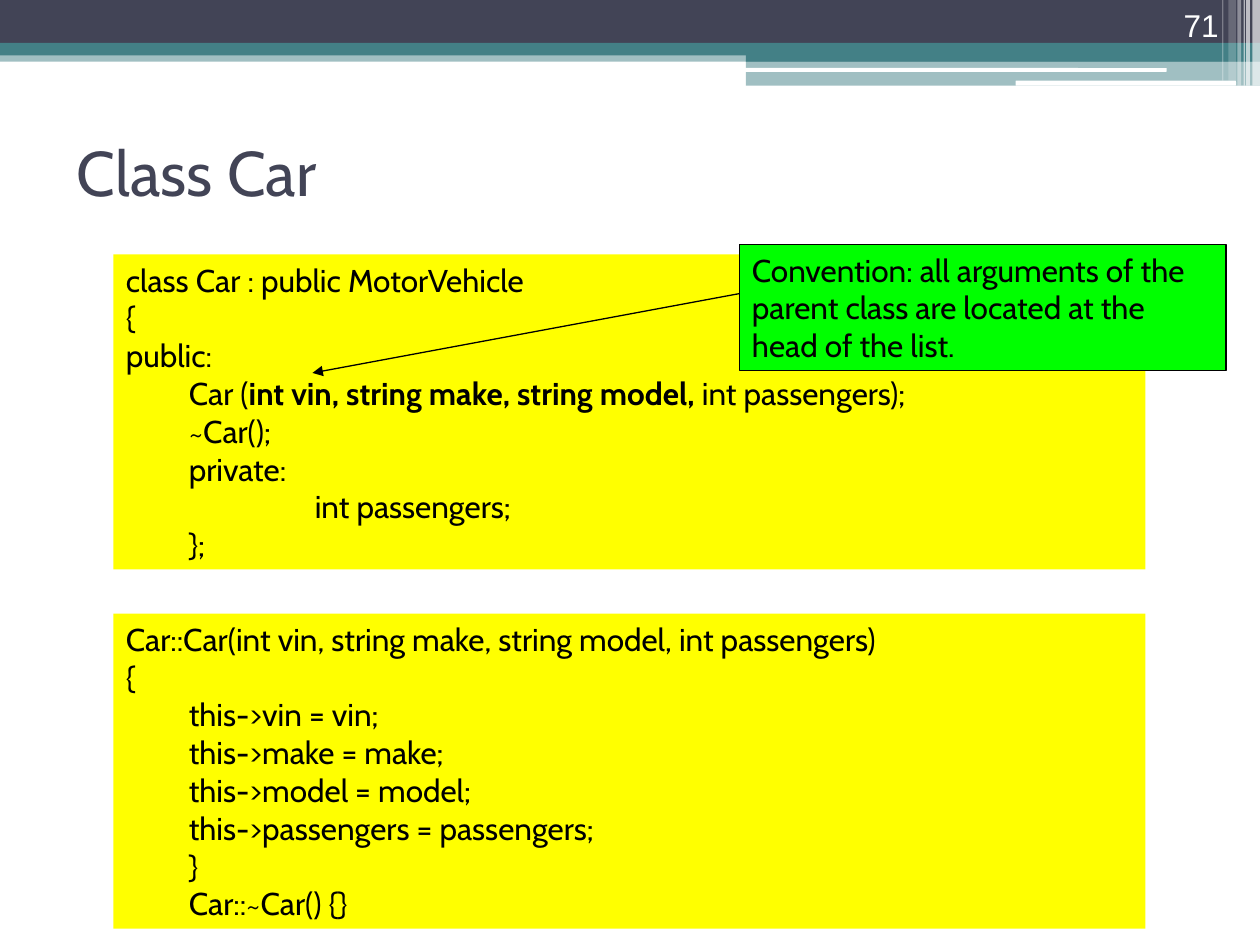
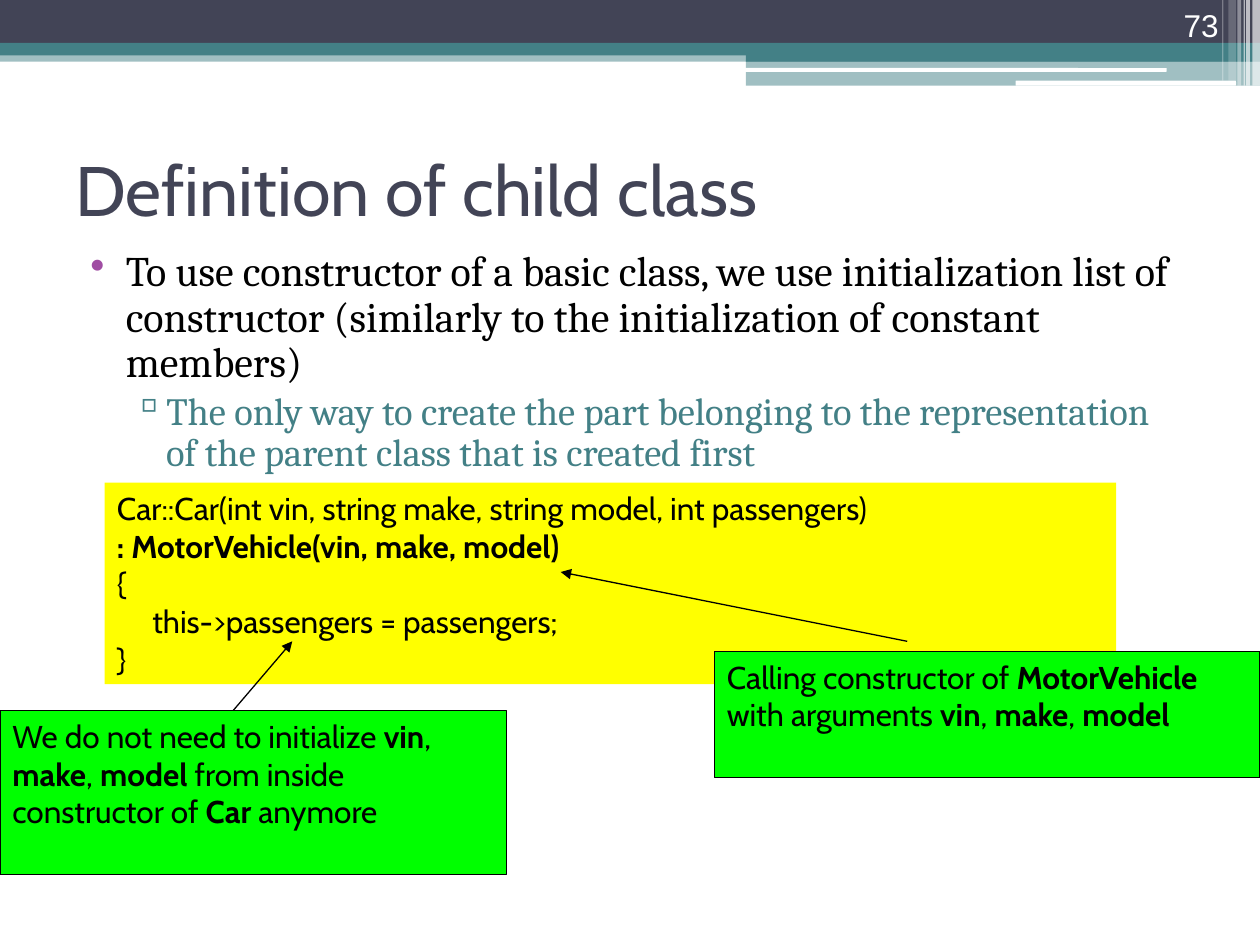
from lxml import etree
from pptx import Presentation
from pptx import util as u
from pptx.dml.color import RGBColor
from pptx.enum import shapes, text
from pptx.oxml.ns import qn

PX = u.Inches(1) // 100
INK = RGBColor(0x42, 0x44, 0x56)
TEAL = RGBColor(0x43, 0x80, 0x86)
PURPLE = RGBColor(0xA0, 0x4D, 0xA3)
WHITE = RGBColor(0xFF, 0xFF, 0xFF)
BLACK = RGBColor(0x00, 0x00, 0x00)
YELLOW = RGBColor(0xFF, 0xFF, 0x00)
GREEN = RGBColor(0x00, 0xFF, 0x00)

RECT = shapes.MSO_SHAPE.RECTANGLE
ROUND = shapes.MSO_SHAPE.ROUNDED_RECTANGLE
BANDS = [
    (RECT, (0, 40, 1000, 9), TEAL, 50),
    (RECT, (0, 0, 1000, 34), INK, 100),
    (RECT, (0, 34, 1000, 10), TEAL, 100),
    (RECT, (592, 39, 408, 10), TEAL, 100),
    (RECT, (592, 48, 408, 20), TEAL, 50),
    (ROUND, (591, 54, 335, 3), WHITE, 100),
    (ROUND, (806, 64, 175, 4), WHITE, 100),
    (RECT, (994, 0, 6, 68), WHITE, 65),
    (RECT, (989, 0, 3, 68), WHITE, 65),
    (RECT, (987, 0, 1, 68), WHITE, 60),
    (RECT, (982, 0, 3, 68), WHITE, 40),
    (RECT, (975, 0, 6, 64), WHITE, 20),
    (RECT, (970, 0, 1, 64), WHITE, 30),
]


def px(*lengths):
    """Turn lengths in px into EMU."""
    return [n * PX for n in lengths]


def add_box(slide, kind, at, fill, opacity=100, outline=None):
    """Add a flat filled shape, with an optional thin outline."""
    sp = slide.shapes.add_shape(kind, *px(*at))
    sp.shadow.inherit = False
    sp.fill.solid()
    sp.fill.fore_color.rgb = fill
    if opacity < 100:
        color = sp.element.spPr.find(".//" + qn("a:srgbClr"))
        etree.SubElement(color, qn("a:alpha"), val=str(opacity * 1000))
    if outline is None:
        sp.line.fill.background()
    else:
        sp.line.color.rgb = outline
        sp.line.width = u.Pt(0.75)
    return sp


def add_bands(slide, layout):
    """Draw the top bands and hand them to the layout that the slides share."""
    for number, (kind, at, fill, opacity) in enumerate(BANDS, 100):
        sp = add_box(slide, kind, at, fill, opacity)
        sp.element.nvSpPr.cNvPr.set("id", str(number))
        layout.shapes.element.append(sp.element)


def add_runs(p, marked, font, size, color):
    """Add runs to a paragraph, bold between asterisks."""
    for i, part in enumerate(marked.split("*")):
        if part:
            r = p.add_run()
            r.text = part
            r.font.name = font
            r.font.size = u.Pt(size)
            r.font.color.rgb = color
            r.font.bold = i % 2 == 1


def next_paragraph(tf):
    """Return the empty first paragraph, or a new one."""
    first = tf.paragraphs[0]
    return tf.add_paragraph() if first.runs else first


def set_indent(p, left, hanging=0):
    """Set the left margin and hanging indent of a paragraph."""
    pPr = p._p.get_or_add_pPr()
    pPr.set("marL", str(left * PX))
    pPr.set("indent", str(-hanging * PX))
    return pPr


def add_slide(prs, title, at, size, number):
    """Add a slide with its title and number."""
    slide = prs.slides.add_slide(prs.slide_layouts[5])
    sp = slide.shapes.title
    sp.left, sp.top, sp.width, sp.height = px(*at)
    tf = sp.text_frame
    tf.auto_size = text.MSO_AUTO_SIZE.NONE
    tf.vertical_anchor = text.MSO_ANCHOR.MIDDLE
    p = tf.paragraphs[0]
    p.alignment = text.PP_ALIGN.LEFT
    add_runs(p, title, "Cabin", size, INK)

    tf = slide.shapes.add_textbox(*px(894, 0, 83, 40)).text_frame
    tf.word_wrap = True
    tf.vertical_anchor = text.MSO_ANCHOR.BOTTOM
    p = tf.paragraphs[0]
    p.alignment = text.PP_ALIGN.RIGHT
    add_runs(p, number, "Arial", 18, WHITE)
    return slide


def add_panel(slide, at, fill, lines, outline=None):
    """Add a coloured panel of (indent, text) lines."""
    tf = add_box(slide, RECT, at, fill, outline=outline).text_frame
    tf.word_wrap = True
    tf.vertical_anchor = text.MSO_ANCHOR.TOP
    for indent, line in lines:
        p = next_paragraph(tf)
        p.alignment = text.PP_ALIGN.LEFT
        set_indent(p, indent)
        add_runs(p, line, "Cabin", 18, BLACK)


def add_code(slide, at, lines):
    """Add a yellow code panel."""
    add_panel(slide, at, YELLOW, lines)


def add_callout(slide, at, note, start, end):
    """Add a green note and the arrow that leads from it."""
    add_panel(slide, at, GREEN, [(0, note)], BLACK)
    line = slide.shapes.add_connector(
        shapes.MSO_CONNECTOR.STRAIGHT, *px(*start, *end))
    line.line.color.rgb = BLACK
    line.line.width = u.Pt(0.75)
    etree.SubElement(line.line._get_or_add_ln(), qn("a:tailEnd"), type="triangle")
    etree.SubElement(line.element.spPr, qn("a:effectLst"))


def add_bullets(slide, at, items):
    """Add a bulleted list of (left, hanging, char, bullet colour, size, colour, text)."""
    tf = slide.shapes.add_textbox(*px(*at)).text_frame
    tf.word_wrap = True
    for level, (left, hanging, char, mark, size, color, line) in enumerate(items):
        p = next_paragraph(tf)
        p.level = level
        pPr = set_indent(p, left, hanging)
        buClr = etree.SubElement(pPr, qn("a:buClr"))
        etree.SubElement(buClr, qn("a:srgbClr"), val=str(mark))
        etree.SubElement(pPr, qn("a:buChar"), char=char)
        p.line_spacing = 0.9
        if level:
            p.space_before = u.Pt(3)
        add_runs(p, line, "Cambria", size, color)


def add_class_car(prs):
    """Build the slide with the Car class and its constructor."""
    slide = add_slide(prs, "Class Car", (51, 91, 900, 90), 36, "71")
    add_bands(slide, prs.slide_layouts[5])
    add_code(slide, (90, 202, 819, 250), [
        (0, "class Car : public MotorVehicle"),
        (0, "{"),
        (0, "public:"),
        (50, "Car (*int vin, string make, string model, *int passengers);"),
        (50, "~Car();"),
        (50, "private:"),
        (150, "int passengers;"),
        (50, "};"),
    ])
    add_callout(slide, (587, 194, 386, 100),
                "Convention: all arguments of the parent class are located "
                "at the head of the list.", (587, 233), (248, 296))
    add_code(slide, (90, 487, 819, 250), [
        (0, "Car::Car(int vin, string make, string model, int passengers)"),
        (0, "{"),
        (50, "this->vin = vin;"),
        (50, "this->make = make;"),
        (50, "this->model = model;"),
        (50, "this->passengers = passengers;"),
        (50, "}"),
        (50, "Car::~Car() {}"),
    ])


def add_child_class(prs):
    """Build the slide on calling the parent constructor."""
    slide = add_slide(prs, "Definition of child class",
                      (50, 91, 900, 117), 40, "73")
    add_bullets(slide, (50, 194, 900, 202), [
        (40, 28, "•", PURPLE, 24, BLACK,
         "To use constructor of a basic class, we use initialization list of "
         "constructor (similarly to the initialization of constant members)"),
        (72, 27, "▫", TEAL, 22, TEAL,
         "The only way to create the part belonging to the representation "
         "of the parent class that is created first"),
    ])
    add_code(slide, (83, 383, 803, 160), [
        (0, "Car::Car(int vin, string make, string model, int passengers)"),
        (0, "*: MotorVehicle(vin, make, model)*"),
        (0, "{"),
        (0, "     this->passengers = passengers;"),
        (0, "}"),
    ])
    add_callout(slide, (567, 517, 433, 100),
                "Calling constructor of *MotorVehicle *with arguments "
                "*vin*, *make*, *model*", (720, 509), (445, 454))
    add_callout(slide, (0, 564, 402, 130),
                "We do not need to initialize *vin*, *make*, *model *from "
                "inside constructor of *Car *anymore", (185, 564), (232, 509))


def main():
    """Build and save the presentation."""
    prs = Presentation()
    prs.slide_width, prs.slide_height = px(1000, 750)
    add_class_car(prs)
    add_child_class(prs)
    prs.save("out.pptx")


if __name__ == "__main__":
    main()
